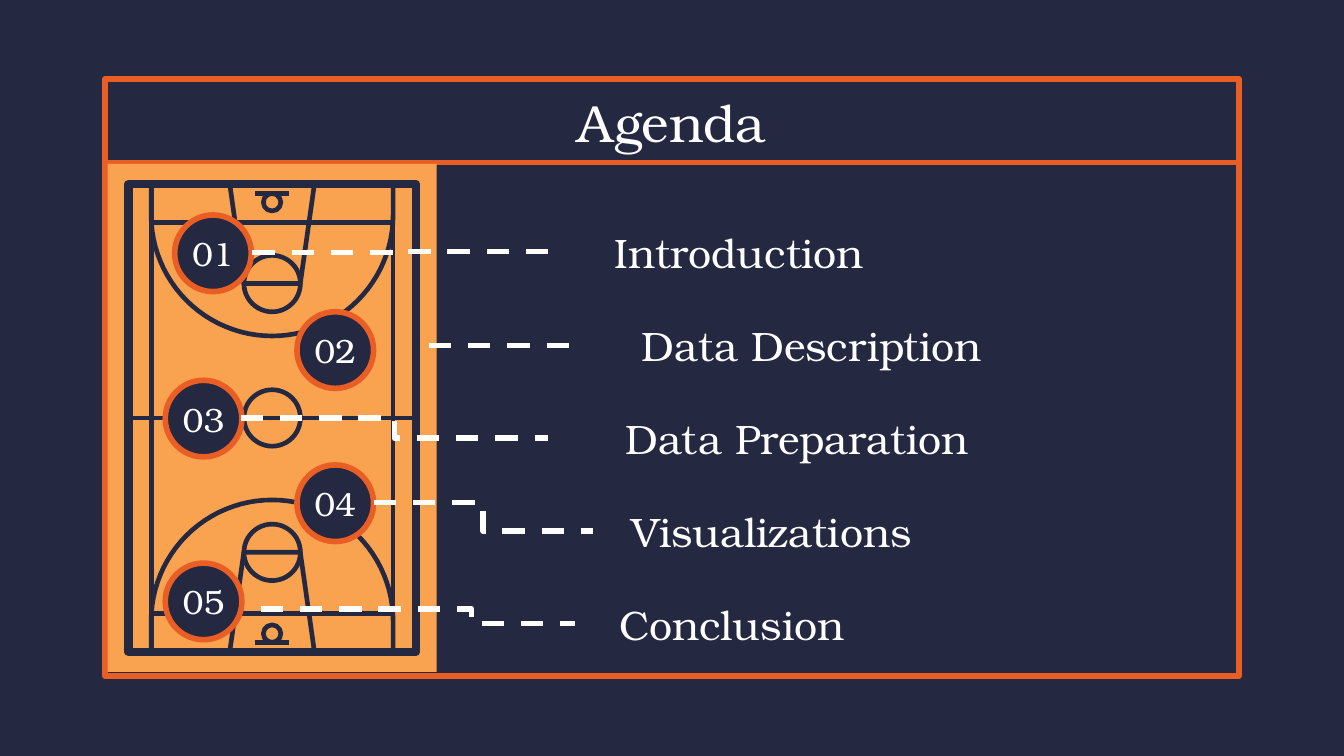
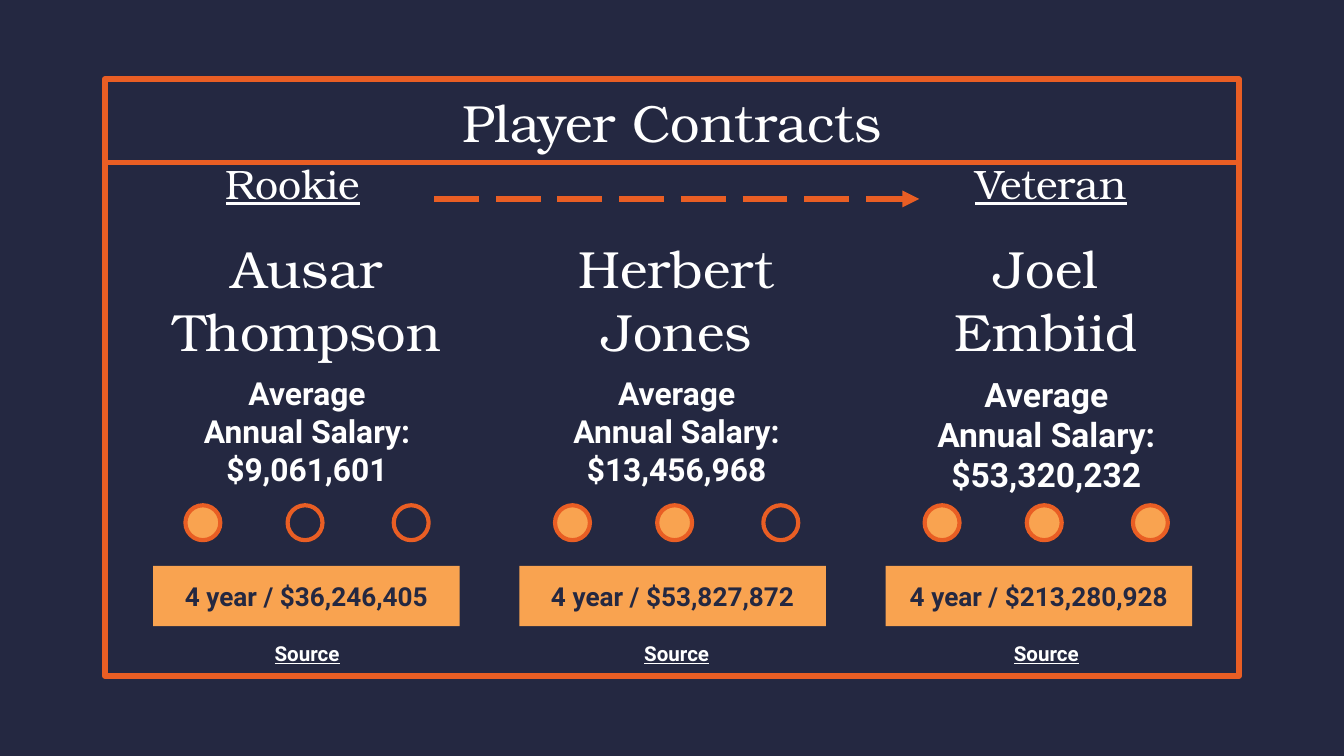
from dataclasses import dataclass
from math import cos, pi, sin

from lxml.etree import SubElement
from pptx import Presentation
from pptx.dml.color import RGBColor
from pptx.enum.dml import MSO_LINE
from pptx.enum.shapes import MSO_CONNECTOR, MSO_SHAPE
from pptx.enum.text import MSO_ANCHOR, MSO_AUTO_SIZE, PP_ALIGN
from pptx.oxml.ns import qn
from pptx.util import Inches, Pt

COLORS = {"navy": "242841", "orange": "E95E24", "amber": "F9A350", "white": "FFFFFF"}
CELL = Inches(0.01)
SERIF, SANS = "TeX Gyre Bonum", "Roboto"
FORMATS = {
    "title": {"name": SERIF, "size": Pt(28), "bold": False},
    "label": {"name": SERIF, "size": Pt(22)},
    "stage": {"name": SERIF, "size": Pt(22), "underline": True},
    "number": {"name": SERIF, "size": Pt(18)},
    "salary": {"name": SANS, "size": Pt(17), "bold": True},
    "large_salary": {"name": SANS, "size": Pt(18), "bold": True},
    "contract": {"name": SANS, "size": Pt(14), "bold": True},
    "source": {"name": SANS, "size": Pt(11), "bold": True, "underline": True},
}
AGENDA = [
    ("Introduction", (328, 284), (50, 38), ((328, 65), (106, 66)), 0.5),
    ("Data Description", (348, 352), (141, 110), ((239, 135), (348, 135)), 0.5),
    ("Data Preparation", (328, 370), (43, 161), ((99, 189), (328, 204)), 0.5),
    ("Visualizations", (361, 266), (141, 224), ((198, 252), (361, 273)), 0.5),
    ("Conclusion", (348, 233), (43, 297), ((114, 331), (348, 342)), 0.67),
]
PLAYERS = [
    ("Ausar Thompson", 251, "$9,061,601", "salary", 1, "4 year / $36,246,405"),
    ("Herbert Jones", 199, "$13,456,968", "salary", 2, "4 year / $53,827,872"),
    ("Joel Embiid", 210, "$53,320,232", "large_salary", 3, "4 year / $213,280,928"),
]


@dataclass
class Box:
    """A region measured in grid cells."""

    left: float
    top: float
    width: float
    height: float

    def point(self, column, row):
        """Return the slide position of a grid point in this region."""
        return int((self.left + column) * CELL), int((self.top + row) * CELL)

    def area(self, column, row, width, height):
        """Return the slide position and size of a block of cells."""
        return *self.point(column, row), int(width * CELL), int(height * CELL)

    def region(self, column, row, width, height):
        """Return a region inside this one."""
        return Box(self.left + column, self.top + row, width, height)


FRAME = Box(78, 59, 844, 444)
CONTENT = FRAME.region(2, 63, 840, 378)


def color(name):
    """Look up a palette colour."""
    return RGBColor.from_string(COLORS[name])


def set_line(line, name, width):
    """Set the colour and width of a line."""
    line.color.rgb = color(name)
    line.width = Pt(width)


def finish_shape(shape, fill=None, line=None, width=3):
    """Apply fill and outline without a shadow."""
    shape.shadow.inherit = False
    if fill:
        shape.fill.solid()
        shape.fill.fore_color.rgb = color(fill)
    else:
        shape.fill.background()
    if line:
        set_line(shape.line, line, width)
    else:
        shape.line.fill.background()
    return shape


def add_preset(slide, kind, area, fill=None, line=None, width=3):
    """Add a preset shape."""
    return finish_shape(slide.shapes.add_shape(kind, *area), fill, line, width)


def add_line(slide, start, end, name, width=3, kind=MSO_CONNECTOR.STRAIGHT):
    """Add a connector without a shadow."""
    connector = slide.shapes.add_connector(kind, *start, *end)
    set_line(connector.line, name, width)
    SubElement(connector._element.spPr, qn("a:effectLst"))
    return connector


def write(shape, lines, style, name="white", anchor=MSO_ANCHOR.MIDDLE, side=0.1):
    """Write centred paragraphs into a shape."""
    frame = shape.text_frame
    settings = {
        "auto_size": MSO_AUTO_SIZE.NONE, "word_wrap": True, "vertical_anchor": anchor,
        "margin_left": Inches(side), "margin_right": Inches(side),
        "margin_top": Inches(0.1), "margin_bottom": Inches(0.1),
    }
    for key, value in settings.items():
        setattr(frame, key, value)
    frame.text = "\n".join(lines)
    for paragraph in frame.paragraphs:
        paragraph.alignment = PP_ALIGN.CENTER
        for key, value in FORMATS[style].items():
            setattr(paragraph.font, key, value)
        paragraph.font.color.rgb = color(name)


def add_text(slide, area, lines, style, anchor=MSO_ANCHOR.MIDDLE):
    """Add a text box."""
    write(slide.shapes.add_textbox(*area), lines, style, anchor=anchor)


def add_framed_slide(presentation, title):
    """Add a slide with the shared frame and title."""
    slide = presentation.slides.add_slide(presentation.slide_layouts[5])
    add_preset(slide, MSO_SHAPE.RECTANGLE, FRAME.area(0, 0, 844, 444), line="orange")
    add_line(slide, FRAME.point(2, 62), FRAME.point(842, 62), "orange")
    placeholder = slide.shapes.title
    area = FRAME.area(0, 0, 844, 63)
    for key, value in zip(("left", "top", "width", "height"), area):
        setattr(placeholder, key, value)
    write(placeholder, [title], "title")
    return slide


def add_ring(slide, box, row, radius):
    """Draw a circle on the long axis of the court."""
    area = box.area(box.width / 2 - radius, row - radius, 2 * radius, 2 * radius)
    add_preset(slide, MSO_SHAPE.OVAL, area, line="navy", width=2.5)


def add_outline(slide, points):
    """Draw an open court marking."""
    builder = slide.shapes.build_freeform(*points[0], scale=1.0)
    builder.add_line_segments(points[1:], close=False)
    finish_shape(builder.convert_to_shape(), line="navy", width=2.5)


def add_half_court(slide, box, place):
    """Draw the markings of one half, with place fixing its direction."""
    middle, steps = box.width / 2, 48
    arc = [(middle - 90 * cos(pi * step / steps), 38 + 90 * sin(pi * step / steps))
           for step in range(steps + 1)]
    three_point = [(middle - 90, 16), *arc, (middle + 90, 16)]
    key = [(middle - 31.5, 15), (middle - 21, 89), (middle + 21, 89), (middle + 31.5, 15)]
    for outline in (three_point, key):
        add_outline(slide, [box.point(column, place(row)) for column, row in outline])
    for row, reach in ((43.5, 90), (22, 12.5)):
        ends = [box.point(middle + side * reach, place(row)) for side in (-1, 1)]
        add_line(slide, *ends, "navy", 2.5)
    for row, radius in ((89, 21), (28.5, 6.5)):
        add_ring(slide, box, place(row), radius)


def add_court(slide, box):
    """Draw the basketball court."""
    add_preset(slide, MSO_SHAPE.RECTANGLE, box.area(0, 0, box.width, box.height), "amber")
    for column, row, width in ((32.5, 15.5, 2.5), (15.5, 15, 4.5)):
        area = box.area(column, row, box.width - 2 * column, box.height - 2 * row)
        add_preset(slide, MSO_SHAPE.RECTANGLE, area, line="navy", width=width)
    middle = box.height / 2
    add_line(slide, box.point(14, middle), box.point(box.width - 14, middle), "navy", 2.5)
    add_ring(slide, box, middle, 21)
    add_half_court(slide, box, lambda row: row)
    add_half_court(slide, box, lambda row: box.height - row)


def add_route(slide, start, end, bend):
    """Draw a dashed elbow from a marker to its label."""
    route = add_line(slide, start, end, "white", kind=MSO_CONNECTOR.ELBOW)
    route.line.dash_style = MSO_LINE.DASH
    adjustments = route._element.spPr.find(qn("a:prstGeom")).find(qn("a:avLst"))
    SubElement(adjustments, qn("a:gd"), name="adj1", fmla=f"val {round(bend * 100000)}")


def add_agenda(slide, box):
    """Place the court, markers, routes and agenda labels."""
    add_court(slide, box.region(0, 0, 245, box.height))
    for index, (label, (left, width), marker, route, bend) in enumerate(AGENDA):
        add_text(slide, box.area(left, 34 + 69.25 * index, width, 63), [label], "label")
        circle = add_preset(slide, MSO_SHAPE.OVAL, box.area(*marker, 57, 57), "navy", "orange")
        write(circle, [f"{index + 1:02d}"], "number", side=0)
        add_route(slide, *(box.point(*end) for end in route), bend)


def add_player(slide, box, player):
    """Place one player's name, salary, rating and source."""
    name, width, salary, style, rating, _ = player
    add_text(slide, box.area((box.width - width) / 2, 36, width, 129), [name], "title")
    lines = ["Average", "Annual Salary:", salary]
    add_text(slide, box.area(0, 146, box.width, 80), lines, style, MSO_ANCHOR.TOP)
    for index, column in enumerate((62, 138, 217)):
        fill = "amber" if index < rating else "navy"
        add_preset(slide, MSO_SHAPE.OVAL, box.area(column, 254, 26, 26), fill, "orange", 2.25)
    add_text(slide, box.area(95, 345, 115, 26), ["Source"], "source", MSO_ANCHOR.TOP)


def add_contracts(slide, box):
    """Place the row of contract bars at equal steps."""
    step = (box.width - 228) / (len(PLAYERS) - 1)
    for index, player in enumerate(PLAYERS):
        area = box.area(index * step, 0, 228, box.height)
        bar = add_preset(slide, MSO_SHAPE.RECTANGLE, area, "amber")
        write(bar, [player[-1]], "contract", "navy")


def add_stages(slide, box):
    """Place the career stages and the arrow between them."""
    for column, stage in ((38, "Rookie"), (602, "Veteran")):
        add_text(slide, box.area(column, -14, 200, 76), [stage], "stage", MSO_ANCHOR.TOP)
    arrow = add_line(slide, box.point(243, 26), box.point(604, 26), "orange")
    arrow.line.dash_style = MSO_LINE.LONG_DASH
    SubElement(arrow._element.spPr.find(qn("a:ln")), qn("a:tailEnd"), type="triangle")


def main():
    """Build and save the presentation."""
    presentation = Presentation()
    presentation.slide_width = Inches(10)
    presentation.slide_height = Inches(10) * 9 // 16
    background = presentation.slide_master.background.fill
    background.solid()
    background.fore_color.rgb = color("navy")

    add_agenda(add_framed_slide(presentation, "Agenda"), CONTENT)

    slide = add_framed_slide(presentation, "Player Contracts")
    for index, player in enumerate(PLAYERS):
        add_player(slide, CONTENT.region(-4 + 275 * index, 0, 305, 378), player)
    add_contracts(slide, CONTENT.region(34, 299, 773, 45))
    add_stages(slide, CONTENT)
    presentation.save("out.pptx")


if __name__ == "__main__":
    main()
